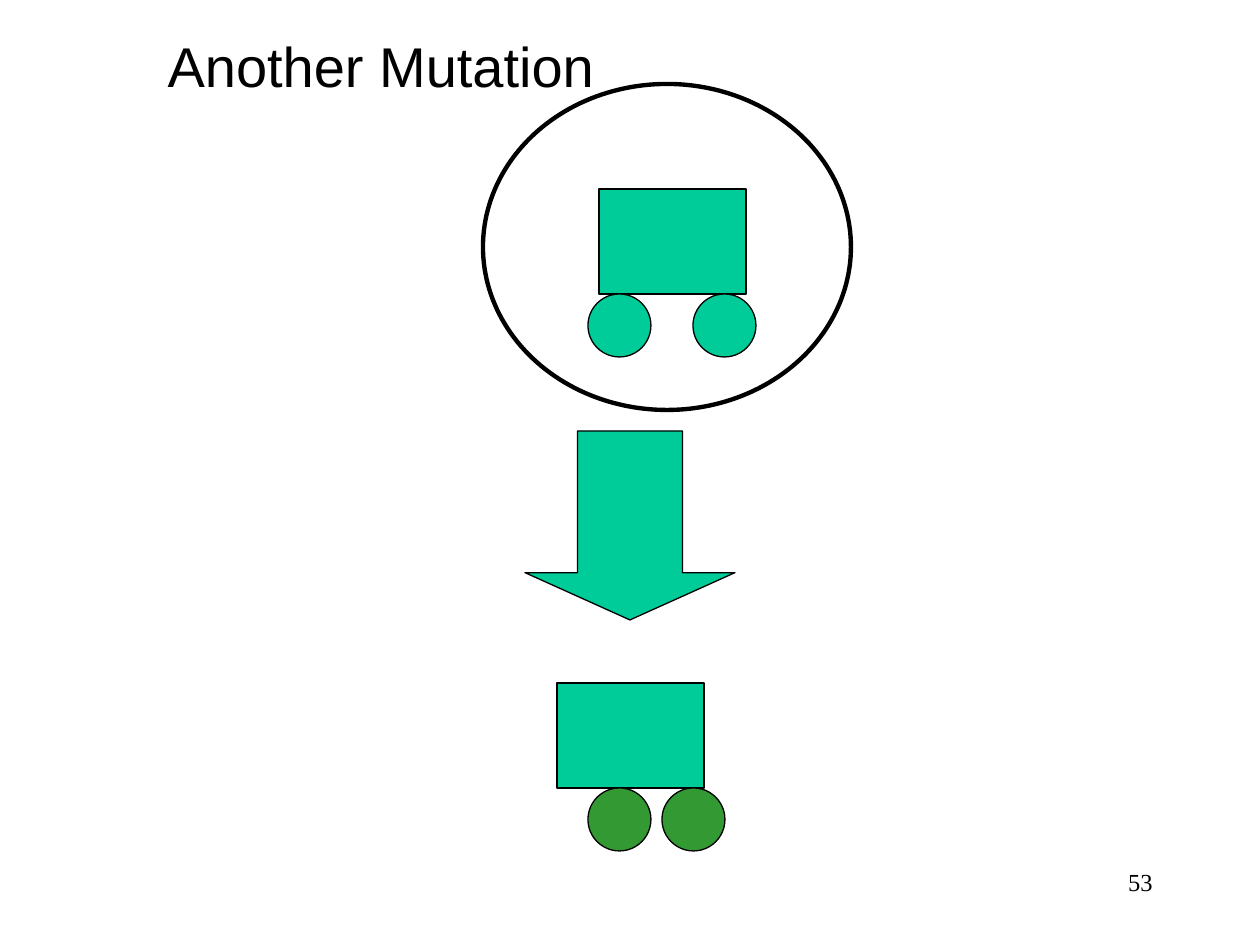
from pptx import Presentation
from pptx.dml.color import RGBColor as RGB
from pptx.enum.shapes import MSO_SHAPE as Kind
from pptx.enum.text import MSO_ANCHOR as Anchor, PP_ALIGN as Align
from pptx.util import Pt

# Content, lengths in px
TITLE = ("Another Mutation", (155, 25, 455, 81))
NUMBER = ("53", (903, 861, 262, 63))
RING = (483, 84, 368, 326)
ARROW = (525, 431, 210, 189)
BODY, WHEEL = (147, 105), 63
CARTS = [
    {"left": 599, "top": 189, "wheels": (588, 693), "tint": "teal"},
    {"left": 557, "top": 683, "wheels": (588, 662), "tint": "green"},
]
THEME = {
    "teal": RGB(0x00, 0xCC, 0x99), "green": RGB(0x33, 0x99, 0x33),
    "ink": RGB(0, 0, 0), "thin": Pt(0.75), "thick": Pt(2.5),
    "title": {"name": "Arial", "size": Pt(32), "bold": False},
    "number": {"name": "Times New Roman", "size": Pt(14)},
}
SCALE = 914400 / 126


def emu(box):
    return [round(n * SCALE) for n in box]


def draw(slide, kind, box, fill=None, width="thin"):
    shape = slide.shapes.add_shape(kind, *emu(box))
    shape.shadow.inherit = False
    if fill:
        shape.fill.solid()
        shape.fill.fore_color.rgb = THEME[fill]
    else:
        shape.fill.background()
    shape.line.color.rgb = THEME["ink"]
    shape.line.width = THEME[width]
    return shape


def write(shape, item, style, align, wrap):
    text, box = item
    shape.left, shape.top, shape.width, shape.height = emu(box)
    frame = shape.text_frame
    frame.text = text
    frame.word_wrap = wrap
    frame.vertical_anchor = Anchor.TOP
    para = frame.paragraphs[0]
    para.alignment = align
    font = para.runs[0].font
    for key, value in THEME[style].items():
        setattr(font, key, value)
    font.color.rgb = THEME["ink"]


def cart(slide, left, top, wheels, tint):
    draw(slide, Kind.RECTANGLE, (left, top, *BODY), "teal")
    for x in wheels:
        draw(slide, Kind.OVAL, (x, top + BODY[1], WHEEL, WHEEL), tint)


def main():
    deck = Presentation()
    deck.slide_width, deck.slide_height = emu((1260, 945))
    slide = deck.slides.add_slide(deck.slide_layouts[5])

    # Title
    write(slide.shapes.title, TITLE, "title", Align.LEFT, False)

    # First cart in its ring, arrow, changed cart
    cart(slide, **CARTS[0])
    draw(slide, Kind.OVAL, RING, width="thick")
    arrow = draw(slide, Kind.DOWN_ARROW, ARROW, "teal")
    arrow.adjustments[0], arrow.adjustments[1] = 0.5, 0.25
    cart(slide, **CARTS[1])

    # Slide number
    box = slide.shapes.add_textbox(*emu(NUMBER[1]))
    write(box, NUMBER, "number", Align.RIGHT, True)

    deck.save("out.pptx")


if __name__ == "__main__":
    main()
